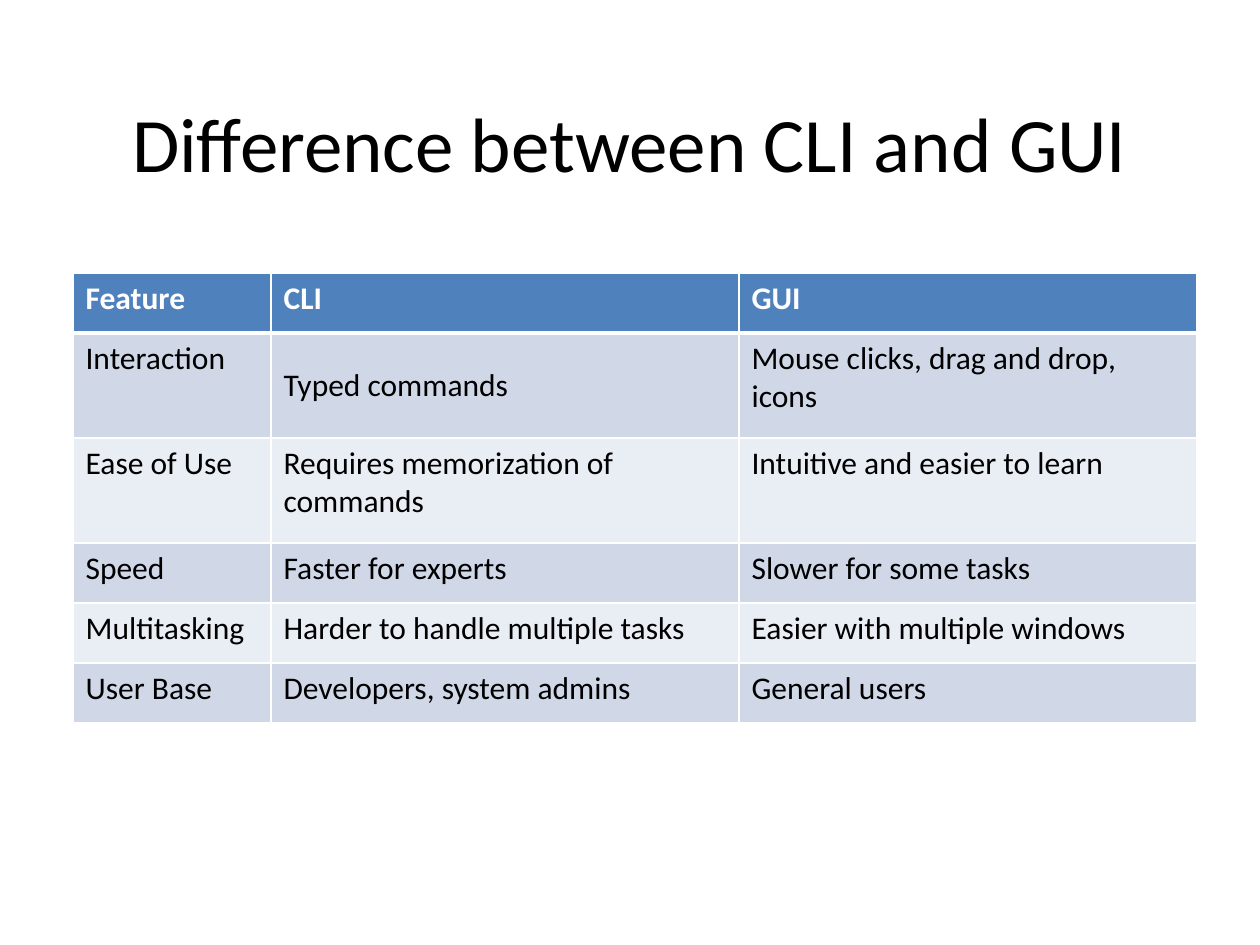
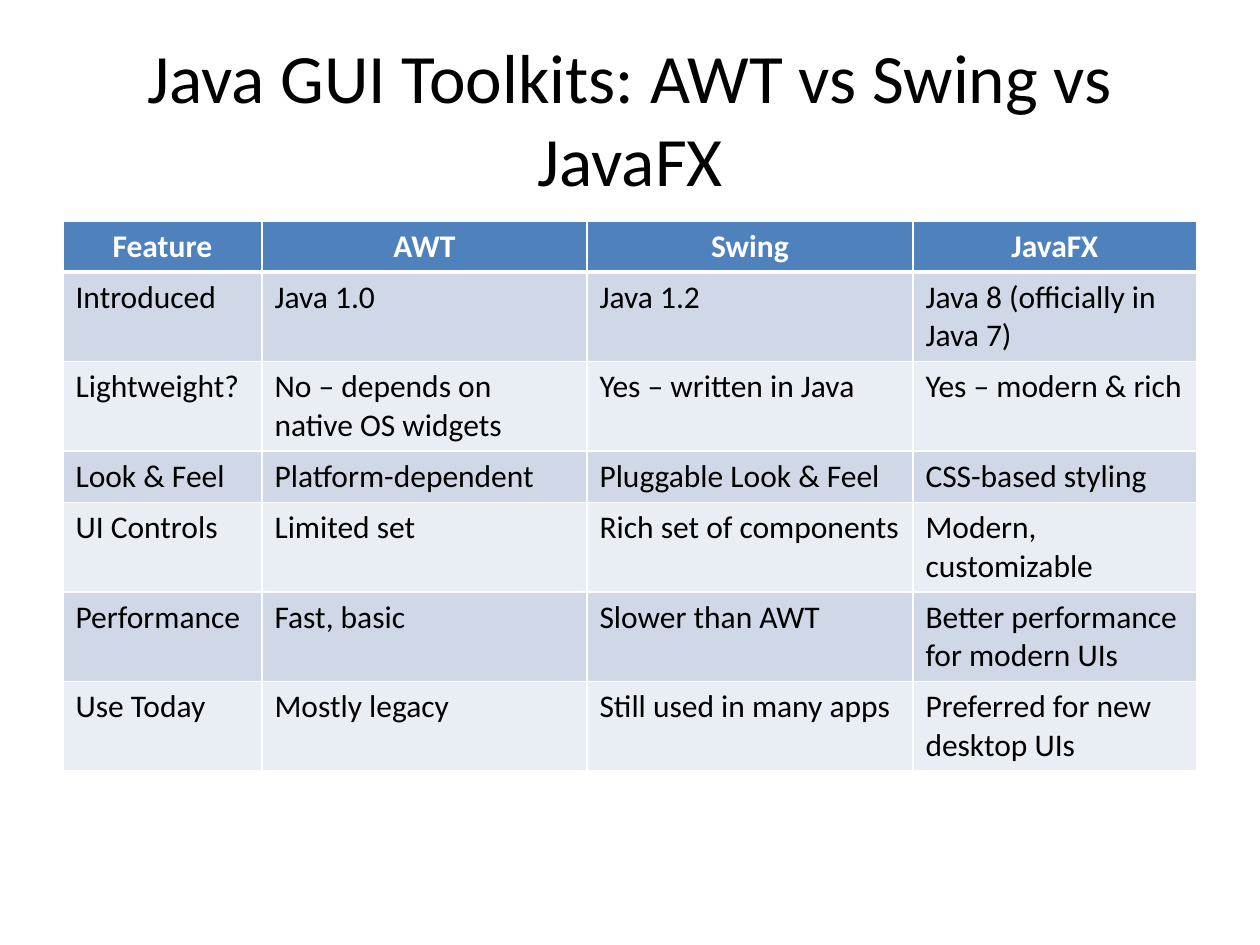
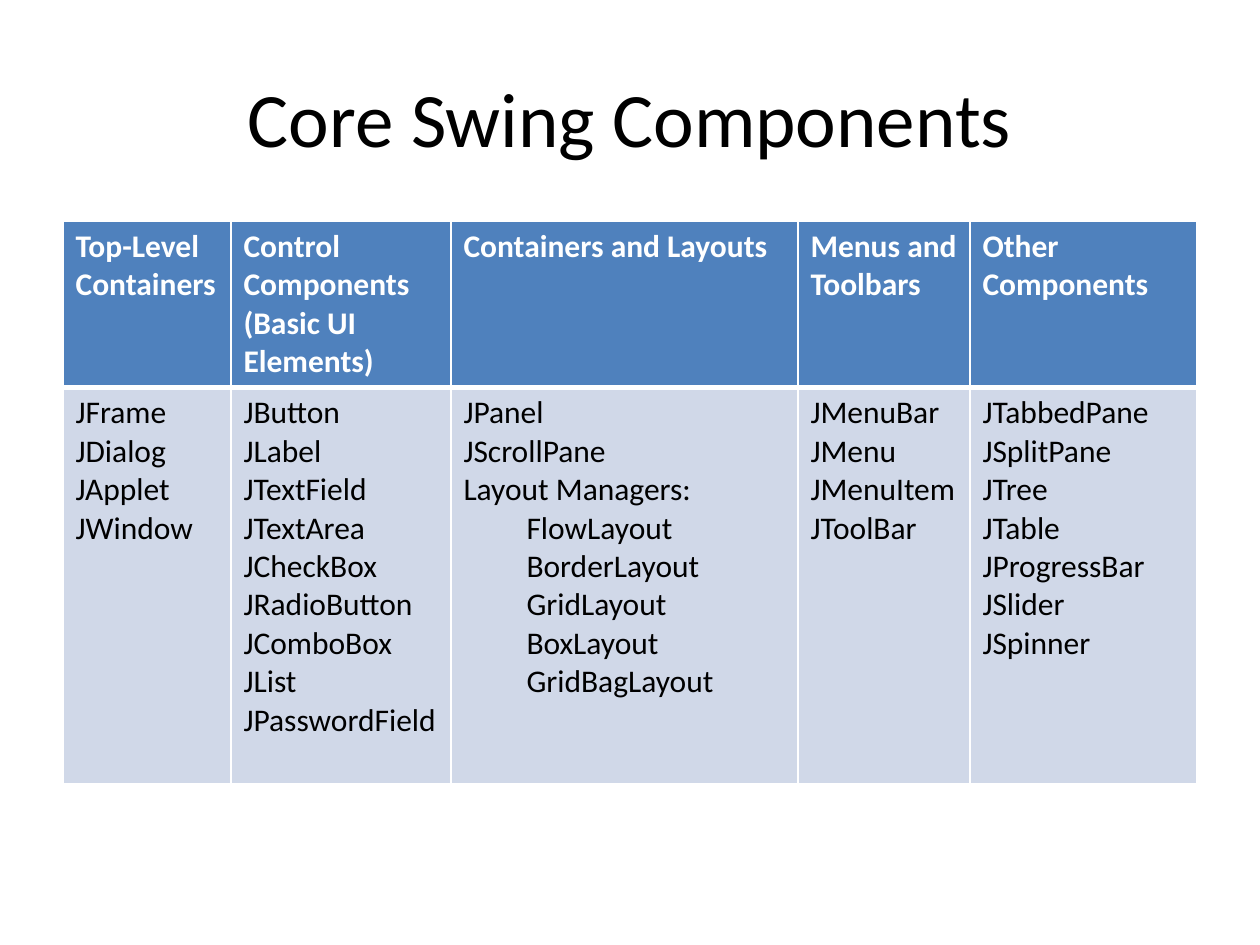
from pptx import Presentation
from pptx.dml.color import RGBColor
from pptx.enum.text import MSO_ANCHOR as Anchor, MSO_AUTO_SIZE as Auto, PP_ALIGN as Align
from pptx.oxml import parse_xml
from pptx.oxml.ns import nsdecls
from pptx.util import Emu, Pt

rgb = RGBColor.from_string
WHITE, BLACK, HEAD = "FFFFFF", "000000", "4F81BD"
BANDS = ["E9EDF4", "D0D8E8"]


def px(count):
    return Emu(round(count * 914400 / 126))


def put(frame, text, size=18, color=BLACK, bold=False, align=Align.LEFT):
    for i, line in enumerate(text.split("\n")):
        para = frame.paragraphs[0] if i == 0 else frame.add_paragraph()
        para.alignment = align
        if line.startswith("\t"):
            para.level = 1
            para._p.get_or_add_pPr().set("marL", str(px(63)))
        run = para.add_run()
        run.text = line.strip()
        font = run.font
        font.name, font.size, font.bold = "Calibri", Pt(size), bold
        font.color.rgb = rgb(color)


slides = [
    dict(
        title="Difference between CLI and GUI", size=44, top=63,
        left=73, head=273, align=Align.LEFT, mid=[(1, 1)],
        cols=[198, 468, 458], rows=[60, 105, 105, 60, 60, 60],
        cells=[
            ["Feature", "CLI", "GUI"],
            ["Interaction", "Typed commands", "Mouse clicks, drag and drop, icons"],
            ["Ease of Use", "Requires memorization of commands", "Intuitive and easier to learn"],
            ["Speed", "Faster for experts", "Slower for some tasks"],
            ["Multitasking", "Harder to handle multiple tasks", "Easier with multiple windows"],
            ["User Base", "Developers, system admins", "General users"],
        ],
    ),
    dict(
        title="Java GUI Toolkits: AWT vs Swing vs JavaFX", size=39.6, top=38,
        left=63, head=221, align=Align.CENTER, mid=[],
        cols=[199, 325, 326, 284], rows=[51, 89, 89, 51, 89, 89, 89],
        cells=[
            ["Feature", "AWT", "Swing", "JavaFX"],
            ["Introduced", "Java 1.0", "Java 1.2", "Java 8 (officially in Java 7)"],
            ["Lightweight?", "No – depends on native OS widgets", "Yes – written in Java",
             "Yes – modern & rich"],
            ["Look & Feel", "Platform-dependent", "Pluggable Look & Feel", "CSS-based styling"],
            ["UI Controls", "Limited set", "Rich set of components", "Modern, customizable"],
            ["Performance", "Fast, basic", "Slower than AWT", "Better performance for modern UIs"],
            ["Use Today", "Mostly legacy", "Still used in many apps", "Preferred for new desktop UIs"],
        ],
    ),
    dict(
        title="Core Swing Components", size=44, top=38,
        left=63, head=221, align=Align.LEFT, mid=[],
        cols=[168, 220, 347, 172, 227], rows=[166, 396],
        cells=[
            ["Top-Level Containers", "Control Components (Basic UI Elements)",
             "Containers and Layouts", "Menus and Toolbars", "Other Components"],
            ["JFrame\nJDialog\nJApplet\nJWindow",
             "JButton\nJLabel\nJTextField\nJTextArea\nJCheckBox\nJRadioButton\n"
             "JComboBox\nJList\nJPasswordField",
             "JPanel\nJScrollPane\nLayout Managers:\n\tFlowLayout\n\tBorderLayout\n"
             "\tGridLayout\n\tBoxLayout\n\tGridBagLayout",
             "JMenuBar\nJMenu\nJMenuItem\nJToolBar",
             "JTabbedPane\nJSplitPane\nJTree\nJTable\nJProgressBar\nJSlider\nJSpinner"],
        ],
    ),
]

deck = Presentation()
deck.slide_width, deck.slide_height = px(1260), px(945)

for item in slides:
    slide = deck.slides.add_slide(deck.slide_layouts[5])
    title = slide.shapes.title
    title.left, title.top, title.width, title.height = px(63), px(item["top"]), px(1134), px(158)
    frame = title.text_frame
    frame.auto_size = Auto.NONE
    frame.vertical_anchor = Anchor.MIDDLE
    put(frame, item["title"], size=item["size"], align=Align.CENTER)

    cols, rows = item["cols"], item["rows"]
    table = slide.shapes.add_table(
        len(rows), len(cols), px(item["left"]), px(item["head"]), px(sum(cols)), px(sum(rows))
    ).table
    for col, width in zip(table.columns, cols):
        col.width = px(width)
    for row, height in zip(table.rows, rows):
        row.height = px(height)

    for r, line in enumerate(item["cells"]):
        for c, text in enumerate(line):
            cell = table.cell(r, c)
            props = cell._tc.get_or_add_tcPr()
            for side in "LRTB":
                wide = 3 if (r, side) in [(0, "B"), (1, "T")] else 1
                props.append(parse_xml(
                    f'<a:ln{side} {nsdecls("a")} w="{Pt(wide)}"><a:solidFill>'
                    f'<a:srgbClr val="{WHITE}"/></a:solidFill></a:ln{side}>'
                ))
            cell.fill.solid()
            cell.fill.fore_color.rgb = rgb(BANDS[r % 2] if r else HEAD)
            if (r, c) in item["mid"]:
                cell.vertical_anchor = Anchor.MIDDLE
            if r == 0:
                put(cell.text_frame, text, color=WHITE, bold=True, align=item["align"])
            else:
                put(cell.text_frame, text)

deck.save("out.pptx")
